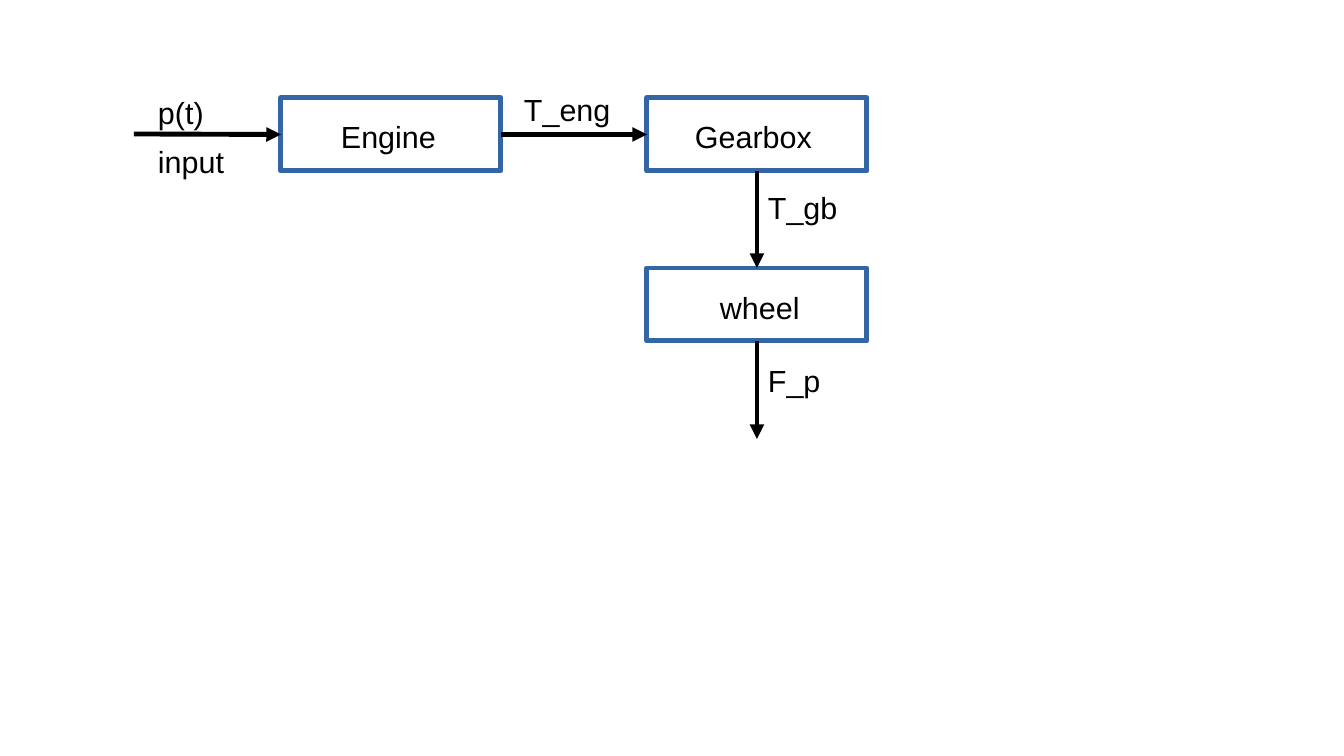
"""Build a drivetrain block diagram: engine, gearbox and wheel joined by arrows."""
from pptx import Presentation
from pptx.dml.color import RGBColor
from pptx.enum.shapes import MSO_CONNECTOR as Connector, MSO_SHAPE as Shape
from pptx.enum.text import MSO_AUTO_SIZE as AutoSize
from pptx.oxml.ns import qn
from pptx.util import Pt
from lxml.etree import SubElement

BLUE = RGBColor(0x34, 0x65, 0xA4)
BLACK = RGBColor(0, 0, 0)
PX = 914400 / 122
SLIDE_SIZE = 1344, 756
BOX_WIDTH, BOX_HEIGHT = 220, 73
LABEL_WIDTH, LABEL_HEIGHT = 159, 46
LINE_WIDTH = Pt(2.89)
TOP, LEFT, BOTTOM, RIGHT = range(4)

BOXES = {"engine": (281, 98), "gearbox": (647, 98), "wheel": (647, 268)}
INPUT_START = 134, 134
OUTPUT_END = 757, 439
ARROWS = [
    (INPUT_START, ("engine", LEFT)),
    (("engine", RIGHT), ("gearbox", LEFT)),
    (("gearbox", BOTTOM), ("wheel", TOP)),
    (("wheel", BOTTOM), OUTPUT_END),
]
LABELS = [
    ("Engine", 329, 112),
    ("Gearbox", 683, 112),
    ("wheel", 708, 283),
    ("p(t)", 146, 88),
    ("input", 146, 137),
    ("T_eng", 512, 85),
    ("T_gb", 756, 183),
    ("F_p", 756, 356),
]


def emu(*lengths):
    return [round(length * PX) for length in lengths]


def add_box(slide, left, top):
    box = slide.shapes.add_shape(Shape.RECTANGLE, *emu(left, top, BOX_WIDTH, BOX_HEIGHT))
    box.shadow.inherit = False
    box.fill.background()
    box.line.color.rgb = BLUE
    box.line.width = LINE_WIDTH
    return box


def locate(end):
    name, side = end
    if name not in BOXES:
        return end
    left, top = BOXES[name]
    across, down = {TOP: (0.5, 0), LEFT: (0, 0.5), BOTTOM: (0.5, 1), RIGHT: (1, 0.5)}[side]
    return left + int(across * BOX_WIDTH), top + int(down * BOX_HEIGHT)


def add_arrow(slide, boxes, start, end):
    arrow = slide.shapes.add_connector(Connector.STRAIGHT, *emu(*locate(start), *locate(end)))
    for (name, side), connect in ((start, arrow.begin_connect), (end, arrow.end_connect)):
        if name in boxes:
            connect(boxes[name], side)
    arrow.line.color.rgb = BLACK
    arrow.line.width = LINE_WIDTH
    SubElement(arrow.line._get_or_add_ln(), qn("a:tailEnd"), type="triangle")
    SubElement(arrow._element.spPr, qn("a:effectLst"))


def add_label(slide, text, left, top, size=18, font="Arial", color=BLACK):
    label = slide.shapes.add_textbox(*emu(left, top, LABEL_WIDTH, LABEL_HEIGHT))
    frame = label.text_frame
    frame.word_wrap = True
    frame.auto_size = AutoSize.SHAPE_TO_FIT_TEXT
    run = frame.paragraphs[0].add_run()
    run.text = text
    run.font.name = font
    run.font.size = Pt(size)
    run.font.color.rgb = color


def main():
    presentation = Presentation()
    presentation.slide_width, presentation.slide_height = emu(*SLIDE_SIZE)
    slide = presentation.slides.add_slide(presentation.slide_layouts[6])
    boxes = {name: add_box(slide, *corner) for name, corner in BOXES.items()}
    for start, end in ARROWS:
        add_arrow(slide, boxes, start, end)
    for text, left, top in LABELS:
        add_label(slide, text, left, top)
    presentation.save("out.pptx")


if __name__ == "__main__":
    main()
